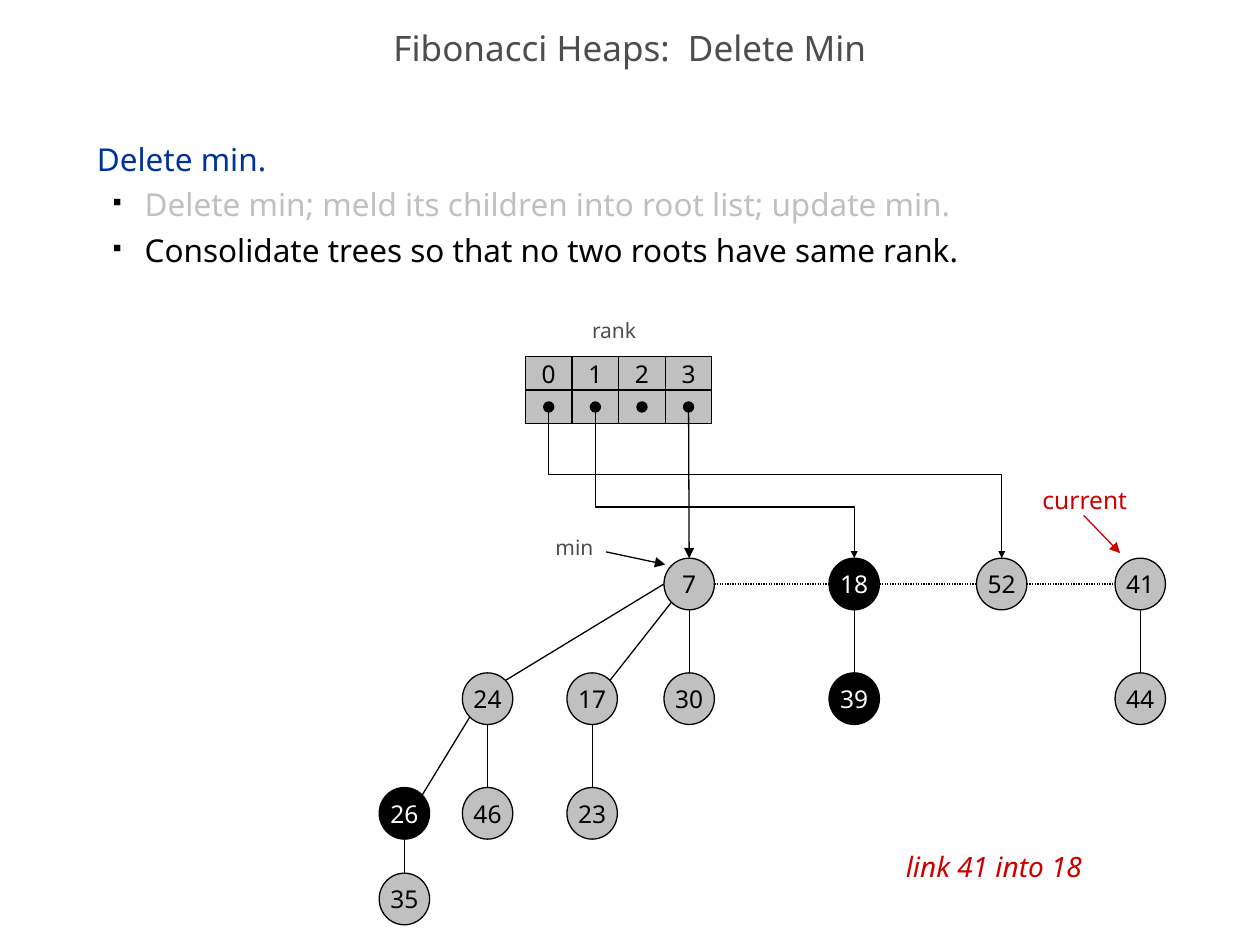
from pptx import Presentation
from pptx import util as u
from pptx.dml.color import RGBColor
from pptx.enum import dml, shapes, text
from pptx.oxml import ns, xmlchemy as xml

INK = {"black": "000000", "white": "FFFFFF", "gray": "C0C0C0",
       "dark": "4D4D4D", "blue": "003399", "red": "CC0000"}
FONT = "Noto Sans"
NODE_W, NODE_H = 0.4, 0.41
DOT = 0.08
MID = text.MSO_ANCHOR.MIDDLE
CENTER = text.PP_ALIGN.CENTER

COLS = [0, 0.66, 1.49, 2.26, 3.57, 4.74, 5.84]
ROWS = [0, 0.91, 1.82, 2.5]
# key: (column, row)
NODES = {7: (3, 0), 18: (4, 0), 52: (5, 0), 41: (6, 0),
         24: (1, 1), 17: (2, 1), 30: (3, 1), 39: (4, 1), 44: (6, 1),
         26: (0, 2), 46: (1, 2), 23: (2, 2), 35: (0, 3)}
MARKED = {18, 39, 26}
# points on a node, as fractions of its width and height
SITES = {"top": (0.5, 0), "bottom": (0.5, 1), "left": (0, 0.5), "right": (1, 0.5),
         "upper": (0.85, 0.15), "lower": (0.15, 0.85)}
DOWN = ("bottom", "top")
SLANT = ("lower", "upper")
EDGES = [(7, 24, ("left", "upper")), (7, 17, SLANT), (7, 30, DOWN),
         (18, 39, DOWN), (41, 44, DOWN), (24, 26, SLANT), (24, 46, DOWN),
         (17, 23, DOWN), (26, 35, DOWN)]
ROOTS = [7, 18, 52, 41]


def color(name):
    return RGBColor.from_string(INK[name])


def write(para, words, size=14, ink="black", align=None, italic=None):
    run = para.add_run()
    run.text = words
    font = run.font
    font.name, font.size, font.italic = FONT, u.Pt(size), italic
    font.color.rgb = color(ink)
    if align is not None:
        para.alignment = align


def add_label(slide, box, words, anchor=None, wrap=False, **style):
    label = slide.shapes.add_textbox(*map(u.Inches, box))
    frame = label.text_frame
    frame.word_wrap = wrap
    if anchor is not None:
        frame.vertical_anchor = anchor
    write(frame.paragraphs[0], words, **style)
    return frame


def add_mark(slide, kind, box, words="", fill="gray", ink="black"):
    """Draw an outlined shape with an optional centred label."""
    mark = slide.shapes.add_shape(kind, *map(u.Inches, box))
    mark.shadow.inherit = False
    mark.fill.solid()
    mark.fill.fore_color.rgb = color(fill)
    mark.line.color.rgb = color("black")
    mark.line.width = u.Pt(0.75)
    if words:
        frame = mark.text_frame
        frame.word_wrap = False
        frame.vertical_anchor = MID
        write(frame.paragraphs[0], words, ink=ink, align=CENTER)


def add_line(slide, start, end, ink="black", head=None, dotted=False,
             kind=shapes.MSO_CONNECTOR.STRAIGHT):
    line = slide.shapes.add_connector(kind, *map(u.Inches, (*start, *end)))
    line.line.color.rgb = color(ink)
    line.line.width = u.Pt(0.75)
    if dotted:
        line.line.dash_style = dml.MSO_LINE.ROUND_DOT
    props = line._element.spPr
    if head:
        tail = xml.OxmlElement("a:tailEnd")
        for key, value in (("type", "triangle"), ("w", head), ("len", head)):
            tail.set(key, value)
        props.find(ns.qn("a:ln")).append(tail)
    props.append(xml.OxmlElement("a:effectLst"))
    return line


def add_elbow(slide, start, end, bend):
    """Arrow that goes down, across and down, turning at the given share."""
    wide, tall = end[0] - start[0], end[1] - start[1]
    left = (start[0] + end[0] - tall) / 2
    top = (start[1] + end[1] - wide) / 2
    line = add_line(slide, (left, top), (left + tall, top + wide), head="sm",
                    kind=shapes.MSO_CONNECTOR.ELBOW)
    props = line._element.spPr
    frame = props.find(ns.qn("a:xfrm"))
    frame.set("rot", str(270 * 60000))
    frame.set("flipH", "1")
    guide = xml.OxmlElement("a:gd")
    guide.set("name", "adj1")
    guide.set("fmla", f"val {round(bend * 100000)}")
    props.find(ns.qn("a:prstGeom")).get_or_add_avLst().append(guide)


def add_bullet(para):
    props = para._p.get_or_add_pPr()
    props.set("marL", str(u.Inches(0.38)))
    props.set("indent", str(u.Inches(-0.25)))
    tint = xml.OxmlElement("a:buClr")
    value = xml.OxmlElement("a:srgbClr")
    value.set("val", INK["black"])
    tint.append(value)
    size = xml.OxmlElement("a:buSzPct")
    size.set("val", "35000")
    sign = xml.OxmlElement("a:buChar")
    sign.set("char", "■")
    props.extend([tint, size, sign])


def add_body(slide, box):
    frame = add_label(slide, box, "Delete min.", wrap=True, size=18, ink="blue")
    steps = [("Delete min; meld its children into root list; update min.", "gray"),
             ("Consolidate trees so that no two roots have same rank.", "black")]
    for words, ink in steps:
        write(frame.add_paragraph(), words, size=18, ink=ink)
    for para in frame.paragraphs:
        para.line_spacing = u.Pt(26)
    for para in frame.paragraphs[1:]:
        add_bullet(para)


def add_ranks(slide, left, top):
    """Draw the rank table and return the foot of each pointer dot."""
    wide, tall = 0.37, 0.265
    add_label(slide, (left + 0.43, top - 0.36, 0.58, 0.3), "rank", size=12, ink="dark")
    feet = []
    for rank in range(4):
        x = left + rank * wide
        for row, words in enumerate((str(rank), "")):
            add_mark(slide, shapes.MSO_SHAPE.RECTANGLE,
                     (x, top + row * tall, wide, tall), words)
        mid, y = x + wide / 2, top + 0.36
        add_mark(slide, shapes.MSO_SHAPE.OVAL, (mid - DOT / 2, y, DOT, DOT), fill="black")
        feet.append((mid, y + DOT))
    return feet


def add_heap(slide, left, top):
    """Draw the trees and return a function that locates a point on a node."""
    def spot(key, site):
        col, row = NODES[key]
        across, down = SITES[site]
        return left + COLS[col] + across * NODE_W, top + ROWS[row] + down * NODE_H

    for one, two in zip(ROOTS, ROOTS[1:]):
        add_line(slide, spot(one, "right"), spot(two, "left"), dotted=True)
    for above, below, (start, end) in EDGES:
        add_line(slide, spot(above, start), spot(below, end))
    for key, (col, row) in NODES.items():
        fill, ink = ("black", "white") if key in MARKED else ("gray", "black")
        add_mark(slide, shapes.MSO_SHAPE.OVAL,
                 (left + COLS[col], top + ROWS[row], NODE_W, NODE_H), str(key), fill, ink)
    return spot


def add_notes(slide, left, top):
    """Label the min and current roots and name the next step."""
    add_label(slide, (left + 1.3, top - 0.24, 0.51, 0.3), "min", size=12, ink="dark")
    add_line(slide, (left + 1.8, top - 0.05), (left + 2.27, top + 0.05), head="med")
    add_label(slide, (left + 5.1, top - 0.67, 1, NODE_H), "current",
              anchor=MID, ink="red", align=CENTER)
    add_line(slide, (left + 5.59, top - 0.34), (left + 5.88, top - 0.04),
             ink="red", head="med")
    add_label(slide, (left + 4.08, top + 2.26, 1.78, 0.37), "link 41 into 18",
              size=16, ink="red", italic=True)


def main():
    deck = Presentation()
    deck.slide_width, deck.slide_height = u.Inches(10), u.Inches(7.5)
    slide = deck.slides.add_slide(deck.slide_layouts[6])
    title = add_label(slide, (0, 0.17, 10, 0.5), "Fibonacci Heaps:  Delete Min",
                      anchor=MID, wrap=True, size=20, ink="dark", align=CENTER)
    title.paragraphs[0].line_spacing = 0.7
    add_body(slide, (0.67, 1, 8.58, 5.92))
    spot = add_heap(slide, 3.01, 4.43)
    feet = add_ranks(slide, 4.17, 2.83)
    add_elbow(slide, feet[0], spot(52, "top"), 0.43)
    add_elbow(slide, feet[1], spot(18, "top"), 0.65)
    add_line(slide, feet[3], spot(7, "top"), head="med")
    add_notes(slide, 3.01, 4.43)
    deck.save("out.pptx")


if __name__ == "__main__":
    main()
